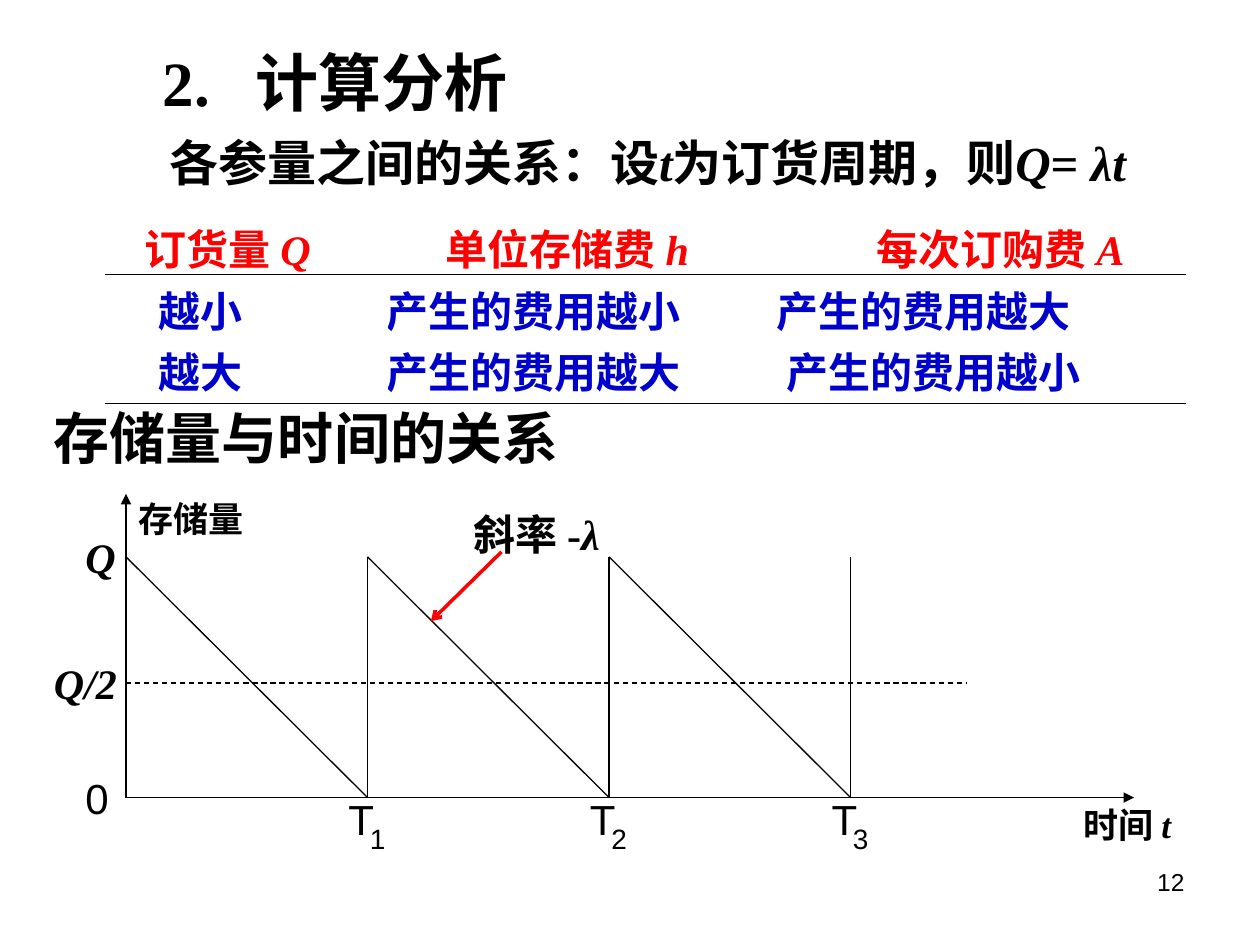
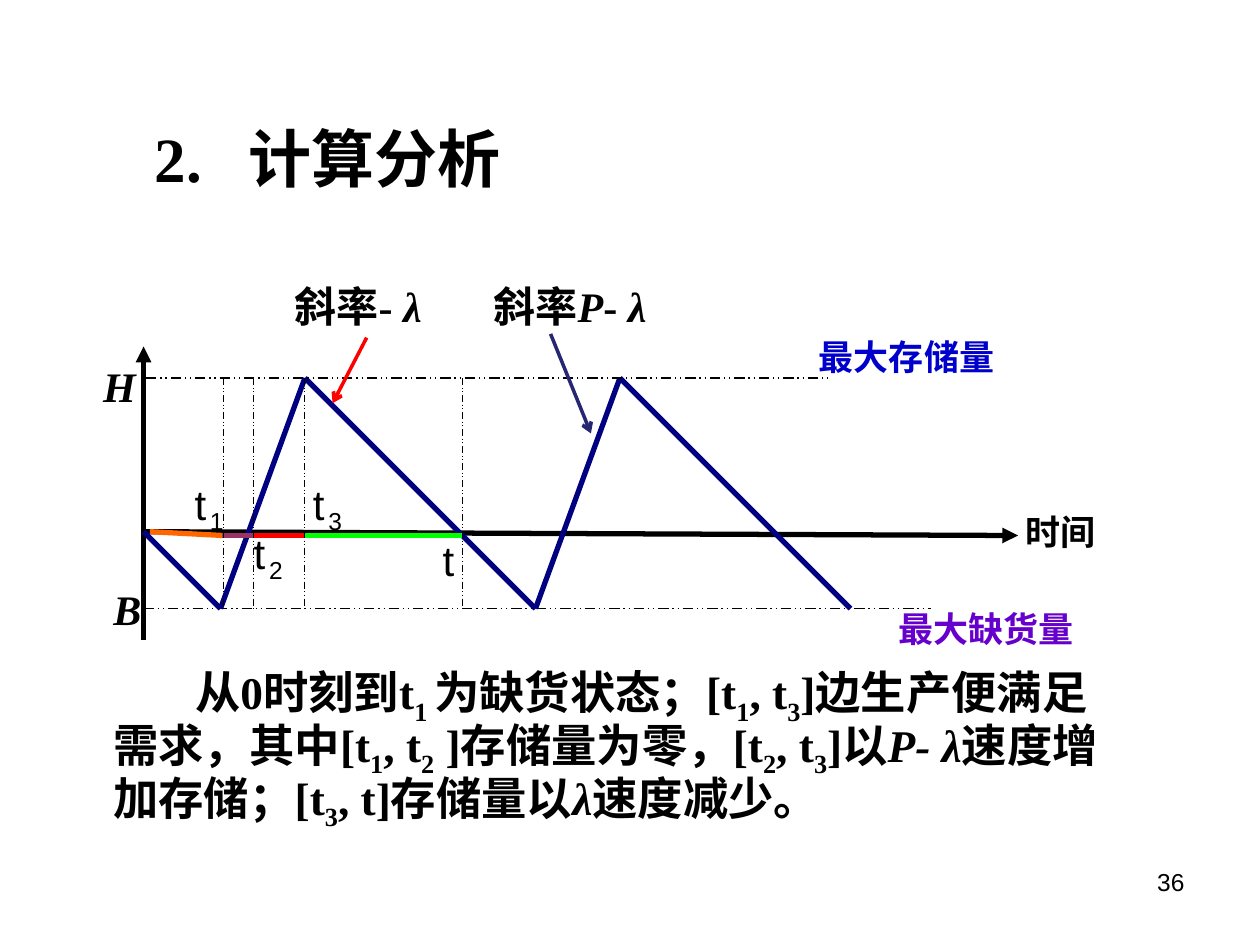
from lxml.etree import SubElement
from pptx import Presentation
from pptx.dml.color import RGBColor
from pptx.enum.dml import MSO_LINE
from pptx.enum.shapes import MSO_CONNECTOR
from pptx.enum.text import MSO_ANCHOR, MSO_AUTO_SIZE, PP_ALIGN
from pptx.oxml.ns import qn
from pptx.util import Inches, Pt

HUES = {
    "black": "000000", "red": "FF0000", "blue": "0000CC", "navy": "000080",
    "ink": "262673", "purple": "6600CC", "green": "00FF00",
    "orange": "FF6600", "plum": "993366",
}
SERIF, SANS, HAN = "Times New Roman", "Arial", "Noto Sans CJK SC"
ALIGN = {"l": PP_ALIGN.LEFT, "c": PP_ALIGN.CENTER, "r": PP_ALIGN.RIGHT}
DASH = {"dash": MSO_LINE.DASH, "dots": MSO_LINE.DASH_DOT_DOT}
TITLE = "2.\t计算分析"
HANG = 0.74

RULE = [("各参量之间的关系：设", ""), ("t", "i"), ("为订货周期，则", ""),
        ("Q", "i"), ("=", ""), (" λt", "i")]
COSTS = [
    [[("订货量 ", ""), ("Q", "i")], [("单位存储费 ", ""), ("h", "i")],
     [("每次订购费 ", ""), ("A", "i")]],
    ["越小", "产生的费用越小", "产生的费用越大"],
    ["越大", "产生的费用越大", "产生的费用越小"],
]
PADS = [(0, 0.47, 0.8), (0.11, 0, 0), (0.11, 0, 0.08)]
COLS = (1.92, 3.09, 3.2)
NOTE = [
    ("从0时刻到t", ""), ("1 ", "s"), ("为缺货状态；[t", ""), ("1", "s"),
    (", t", ""), ("3", "s"), ("]边生产便满足需求，其中[t", ""), ("1", "s"),
    (", t", ""), ("2", "s"), (" ]存储量为零，[t", ""), ("2", "s"), (", t", ""),
    ("3", "s"), ("]以", ""), ("P- λ", "i"), ("速度增加存储；[t", ""), ("3", "s"),
    (", t]存储量以", ""), ("λ", "i"), ("速度减少。", ""),
]
WAVE = [(1.14, 4.22), (1.75, 4.83), (2.42, 3), (4.25, 4.83), (4.92, 3), (6.75, 4.83)]
SPANS = [
    ((1.92, 4.25), (2.58, 4.25), "red"), ((2.42, 4.25), (3.67, 4.25), "green"),
    ((1.19, 4.22), (1.77, 4.25), "orange"), ((1.76, 4.25), (2.01, 4.25), "plum"),
]
TICKS = (2.01, 2.42, 3.67, 1.77)
TIMES = [(1.38, 3.75, "1"), (1.85, 4.14, "2"), (2.32, 3.75, "3")]


def write(frame, text, size=24, font=SERIF, hue="black", bold=True, align="l",
          pad=None, space=None, first=0, hang=0):
    frame.word_wrap = True
    frame.auto_size = MSO_AUTO_SIZE.NONE
    para = frame.paragraphs[0]
    para.alignment = ALIGN[align]
    if space:
        para.line_spacing = space
    props = para._p.get_or_add_pPr()
    props.set("marL", str(Inches(hang)))
    props.set("indent", str(Inches(first - hang)))
    for words, style in [(text, "")] if isinstance(text, str) else text:
        run = para.add_run()
        run.text = words
        face = run.font
        face.size, face.bold, face.italic = Pt(size), bold, "i" in style
        face.name = font
        face.color.rgb = RGBColor.from_string(HUES[hue])
        SubElement(face._element, qn("a:ea")).set("typeface", HAN)
        if "s" in style:
            face._element.set("baseline", "-25000")


def label(slide, text, x, y, wide, high=0.5, **form):
    box = slide.shapes.add_textbox(Inches(x), Inches(y), Inches(wide), Inches(high))
    write(box.text_frame, text, **form)


def line(slide, start, end, hue="black", width=0.75, head=None, dash=None):
    link = slide.shapes.add_connector(
        MSO_CONNECTOR.STRAIGHT, *(Inches(n) for n in (*start, *end)))
    link.line.color.rgb = RGBColor.from_string(HUES[hue])
    link.line.width = Pt(width)
    if dash:
        link.line.dash_style = DASH[dash]
    if head:
        SubElement(link.line._get_or_add_ln(), qn("a:tailEnd")).set("type", head)
    SubElement(link._element.spPr, qn("a:effectLst"))


def mark(slide, base, sub, x, y, shift, size, align):
    label(slide, base, x, y, 0.5 if align == "l" else 0.42,
          font=SANS, bold=False, align=align)
    label(slide, sub, x + shift, y + 0.22, 0.42, 0.37,
          font=SANS, bold=False, size=size, align=align)


def start(deck, page, x, y, high):
    slide = deck.slides.add_slide(deck.slide_layouts[5])
    title = slide.shapes.title
    title.left, title.top = Inches(x), Inches(y)
    title.width, title.height = Inches(8), Inches(high)
    title.text_frame.vertical_anchor = MSO_ANCHOR.MIDDLE
    write(title.text_frame, TITLE, size=36, hang=HANG)
    label(slide, page, 7.17, 6.83, 2.33, size=14, font=SANS, bold=False, align="r")
    return slide


def grid(slide):
    high = 0.49
    table = slide.shapes.add_table(
        len(COSTS), len(COLS), Inches(1.15), Inches(1.72),
        Inches(sum(COLS)), Inches(high * len(COSTS))).table
    table.first_row = table.horz_banding = False
    for col, wide in zip(table.columns, COLS):
        col.width = Inches(wide)
    for r, (row, pads) in enumerate(zip(COSTS, PADS)):
        table.rows[r].height = Inches(high)
        for c, (text, pad) in enumerate(zip(row, pads)):
            cell = table.cell(r, c)
            cell.fill.background()
            cell.margin_left = Inches(pad)
            cell.margin_right = cell.margin_top = cell.margin_bottom = 0
            write(cell.text_frame, text, hue="blue" if r else "red")
    for y in (2.18, 3.2):
        line(slide, (0.83, y), (9.41, y))


def stock(deck):
    slide = start(deck, "12", 1.19, 0.21, 0.87)
    label(slide, RULE, 1.25, 1, 8.35, 0.65, size=28)
    grid(slide)
    label(slide, "存储量与时间的关系", 0.33, 3.15, 5, 0.65, size=32)
    left, top, base, step = 1, 4.42, 6.33, 1.917
    line(slide, (left, base), (left, 3.92), head="triangle")
    line(slide, (left, base), (9, base), head="triangle")
    for n in range(3):
        x = left + n * step
        line(slide, (x, top), (x + step, base))
        line(slide, (x + step, base), (x + step, top))
        mark(slide, "T", str(n + 1), x + step - 0.25, 6.25, 0.17, 16, "l")
    line(slide, (left, 5.42), (7.67, 5.42), dash="dash")
    label(slide, [("Q", "i")], 0.58, 4.17, 0.42)
    label(slide, [("Q/2", "i")], 0.33, 5.17, 0.73)
    label(slide, "0", 0.58, 6.08, 0.5, font=SANS, bold=False)
    label(slide, [("时间 ", ""), ("t", "i")], 8.5, 6.33, 1.08, size=20)
    label(slide, "存储量", 1, 3.9, 1.08, size=20, font=SANS)
    label(slide, [("斜率 -", ""), ("λ", "i")], 3.66, 3.99, 1.34)
    line(slide, (3.98, 4.38), (3.42, 4.93), "red", 2, "arrow")


def lack(deck):
    slide = start(deck, "36", 1.13, 0.79, 0.91)
    label(slide, NOTE, 0.8, 5.25, 8.21, 1.82, size=25.9, space=0.85, first=0.65)
    line(slide, (1.14, 5.08), (1.14, 2.75), width=3, head="triangle")
    line(slide, (1.14, 4.22), (8.08, 4.25), width=3, head="triangle")
    line(slide, (1.14, 4.83), (7.39, 4.83), dash="dots")
    for here, there in zip(WAVE, WAVE[1:]):
        line(slide, here, there, "navy", 3)
    line(slide, (1.16, 3), (6.57, 3), dash="dots")
    for here, there, hue in SPANS:
        line(slide, here, there, hue, 3)
    for x in TICKS:
        line(slide, (x, 3), (x, 4.83), width=0.5, dash="dots")
    label(slide, [("H", "i")], 0.72, 2.81, 0.42, align="c")
    label(slide, [("B", "i")], 0.8, 4.58, 0.42, align="c")
    for x, y, sub in TIMES:
        mark(slide, "t", sub, x, y, 0.13, 14, "c")
    label(slide, "t", 3.35, 4.19, 0.42, font=SANS, bold=False, align="c")
    for text, x, y, wide, hue in (("时间", 8, 4, 0.83, "black"),
                                  ("最大存储量", 6.32, 2.61, 1.75, "blue"),
                                  ("最大缺货量", 6.95, 4.77, 1.75, "purple")):
        label(slide, text, x, y, wide, 0.44, size=20, font=SANS, hue=hue, align="c")
    label(slide, [("斜率-", ""), (" λ", "i")], 2.24, 2.18, 1.34)
    label(slide, [("斜率", ""), ("P", "i"), ("-", ""), (" λ", "i")], 3.82, 2.18, 1.57)
    line(slide, (2.91, 2.68), (2.64, 3.2), "red", 2, "arrow")
    line(slide, (4.37, 2.65), (4.69, 3.44), "ink", 2, "arrow")


def main():
    deck = Presentation()
    deck.slide_width, deck.slide_height = Inches(10), Inches(7.5)
    stock(deck)
    lack(deck)
    deck.save("out.pptx")


if __name__ == "__main__":
    main()
